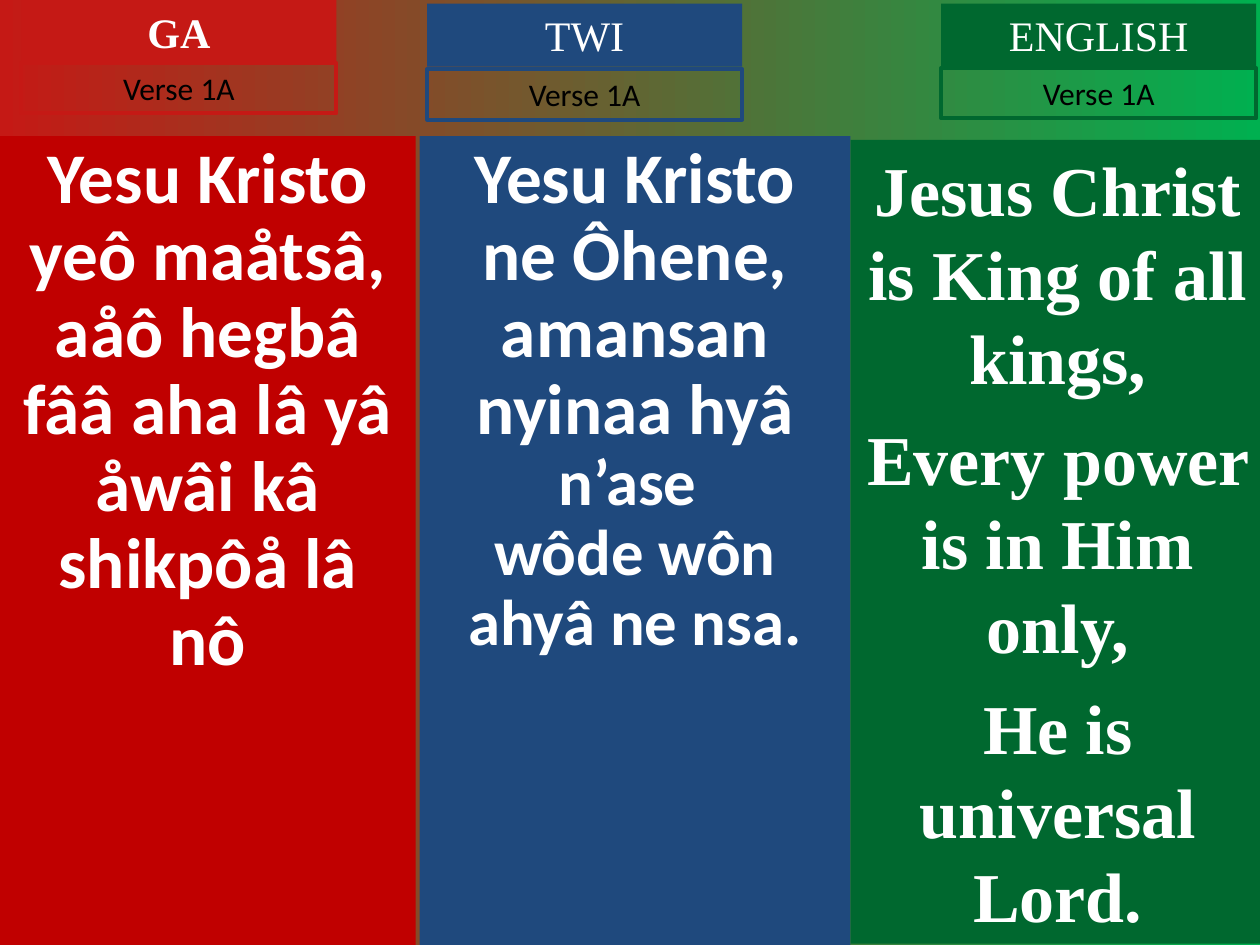
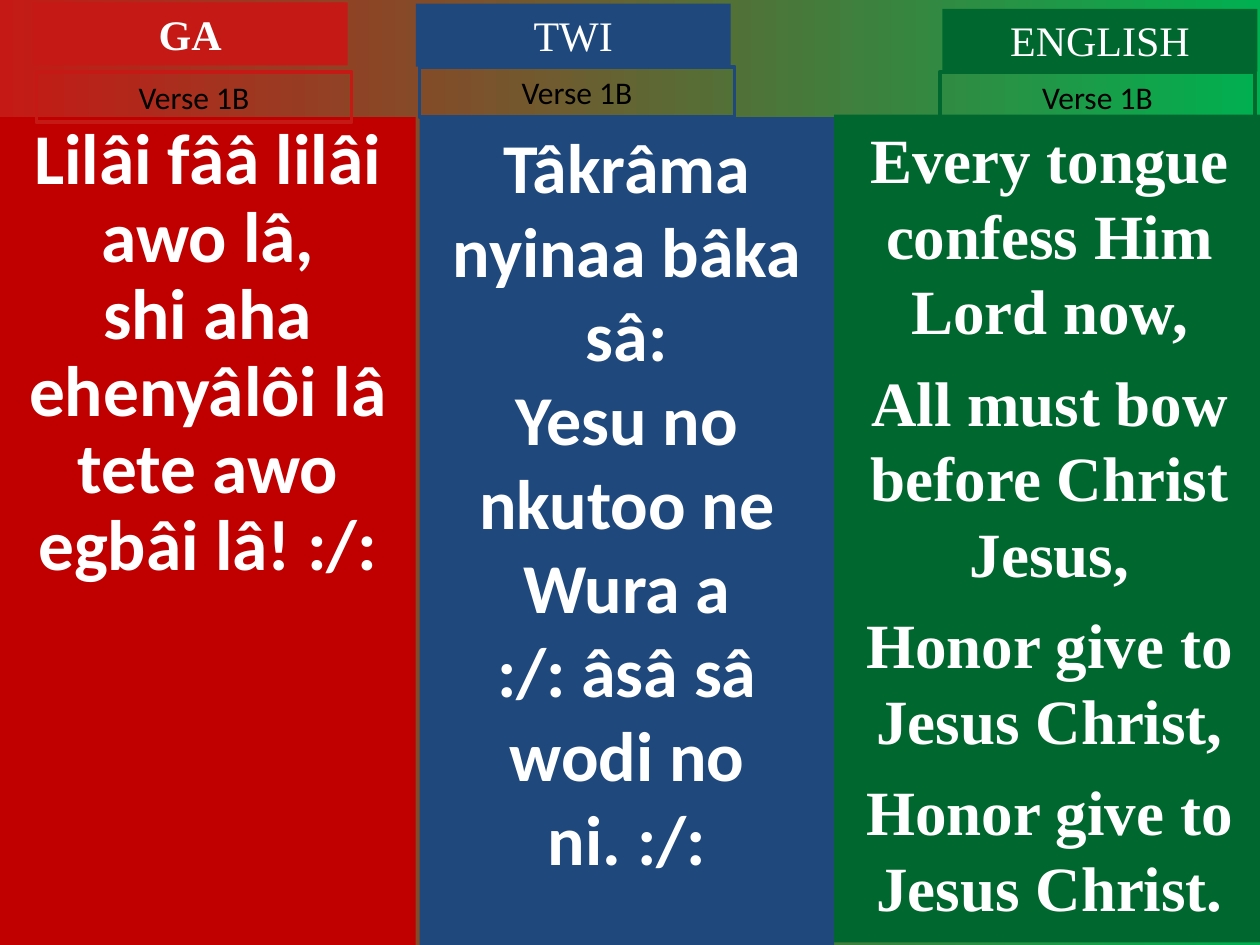
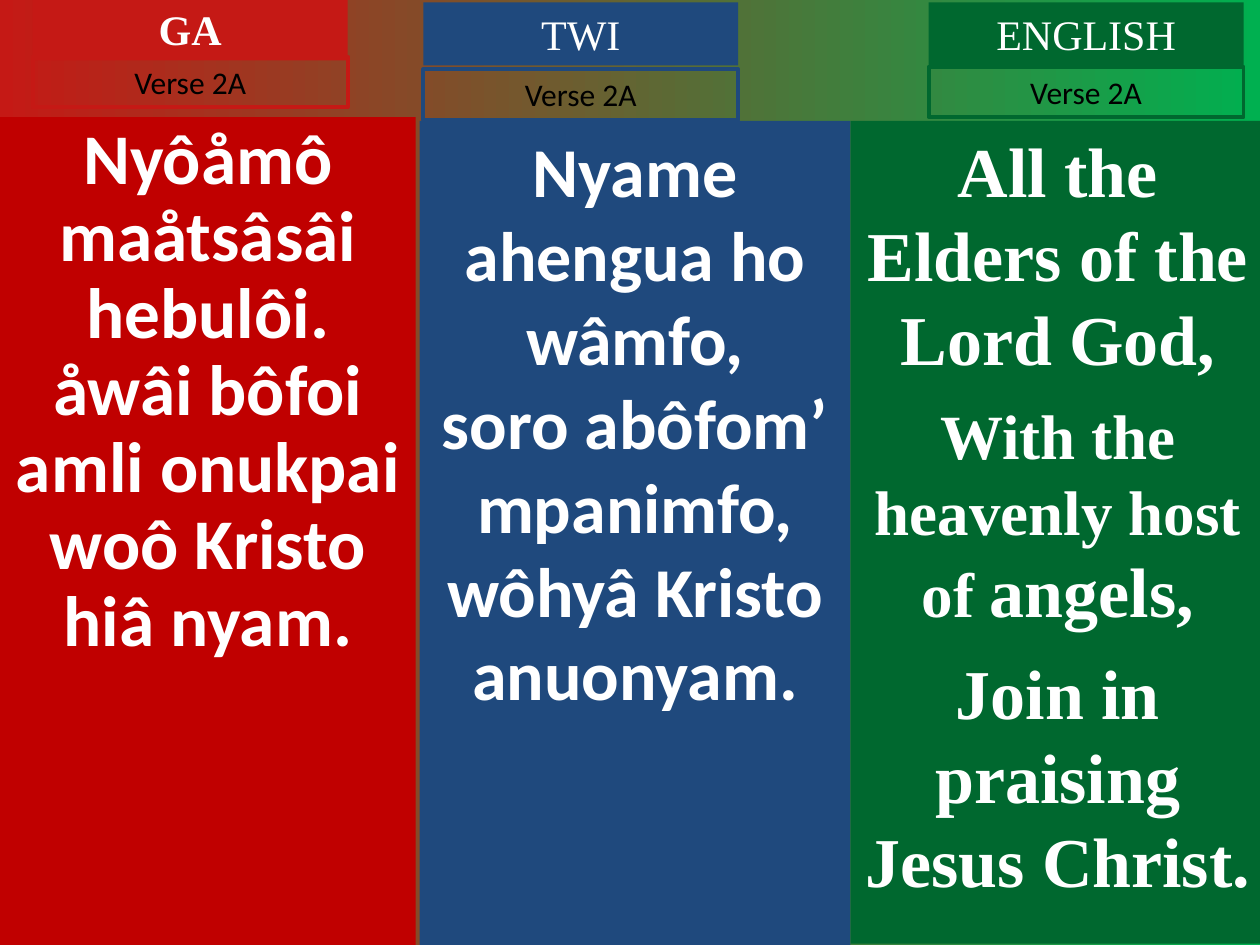
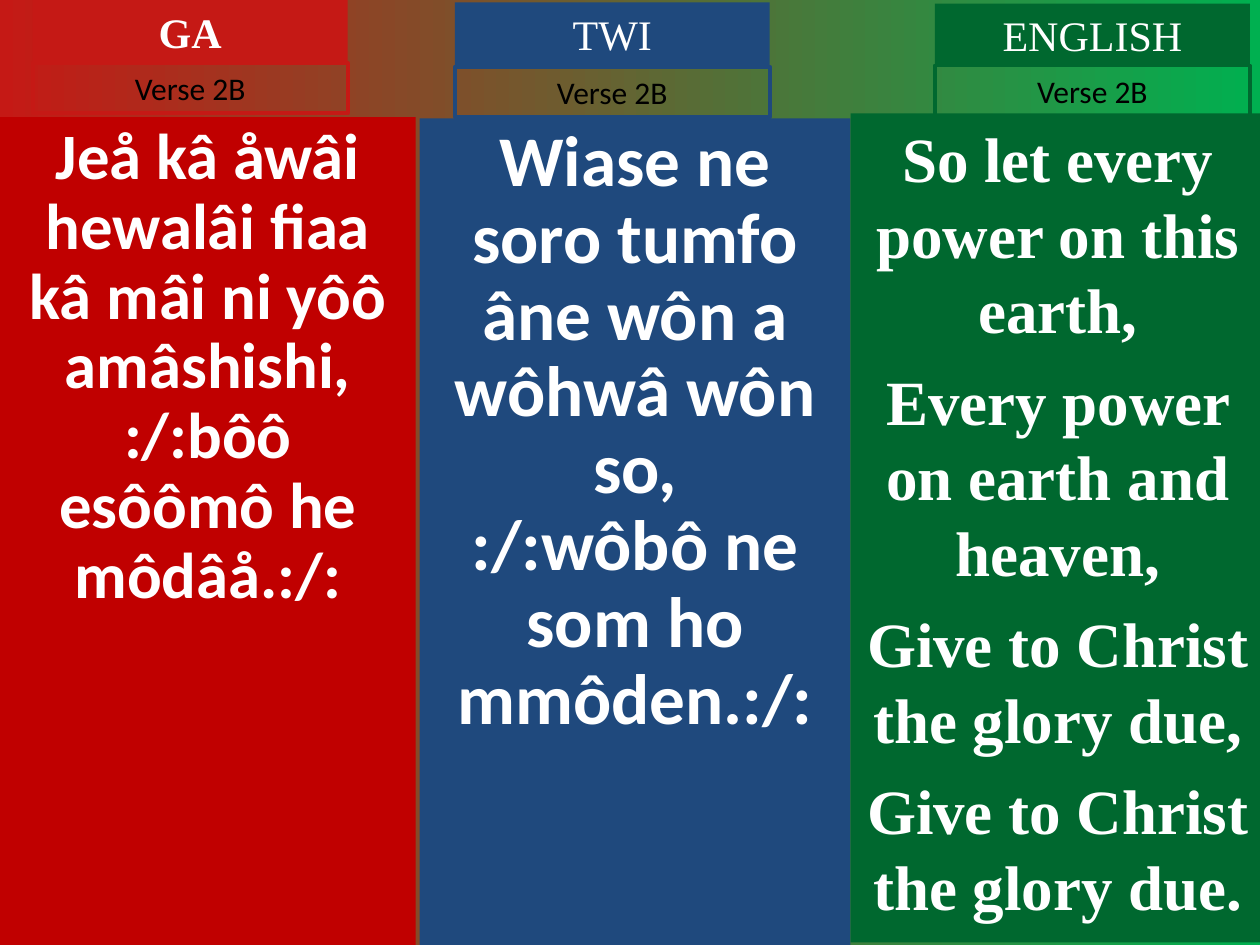
from pptx import Presentation
from pptx.dml.color import RGBColor
from pptx.enum.shapes import MSO_SHAPE
from pptx.enum.text import MSO_ANCHOR, MSO_AUTO_SIZE, PP_ALIGN
from pptx.util import Pt

PX = 9144  # 100 px to the inch
WIDTH, HEIGHT = 1000, 750
HEAD_W, HEAD_H, LABEL_H = 250, 50, 40

COLORS = {
    "red": "C51915", "dark red": "C00000", "blue": "1F497D",
    "green": "00682F", "bright green": "00B050",
    "white": "FFFFFF", "black": "000000",
}
SANS, SERIF = "Calibri", "Times New Roman"

# name, heading colour, panel colour, panel font, bold heading
TONGUES = [
    ("GA", "red", "dark red", SANS, True),
    ("TWI", "blue", "blue", SANS, False),
    ("ENGLISH", "green", "green", SERIF, False),
]

# Each column: panel box, heading corner, label corner,
# (size, line spacing, space before), lines.
# A line is a text, or a list of (text, size) parts.
VERSES = [
    ("Verse 1A", [
        ((0, 108, 330, 642), (17, 0), (17, 50), (40.7, 0.9, 0), [
            "Yesu Kristo yeô maåtsâ,",
            "aåô hegbâ fââ aha lâ yâ åwâi kâ shikpôå lâ nô"]),
        ((333, 108, 342, 642), (339, 3), (339, 55), (40.7, 0.9, 0), [
            "Yesu Kristo ne Ôhene,",
            [("amansan nyinaa hyâ ", 40.7), ("n’ase ", 37)],
            [("wôde wôn ahyâ ne nsa.", 37)]]),
        ((675, 111, 329, 638), (747, 3), (747, 54), (40, 1, 10), [
            "Jesus Christ is King of all kings,",
            "Every power is in Him only,",
            "He is universal Lord."]),
    ]),
    ("Verse 1B", [
        ((0, 93, 330, 657), (26, 2), (29, 57), (40.8, 0.9, 0), [
            "Lilâi fââ lilâi awo lâ,",
            "shi aha ehenyâlôi lâ tete awo egbâi lâ! :/:"]),
        ((333, 93, 329, 657), (330, 3), (333, 53), (40, 1, 0), [
            "Tâkrâma nyinaa bâka sâ:",
            "Yesu no nkutoo ne Wura a",
            ":/: âsâ sâ wodi no ni. :/:"]),
        ((662, 91, 342, 657), (748, 7), (746, 57), (36, 1, 9), [
            "Every tongue confess Him Lord now,",
            "All must bow before Christ Jesus,",
            "Honor give to Jesus Christ,",
            "Honor give to Jesus Christ."]),
    ]),
    ("Verse 2A", [
        ((0, 93, 330, 657), (26, -2), (26, 45), (40.7, 0.9, 0), [
            "Nyôåmô maåtsâsâi hebulôi.",
            "åwâi bôfoi amli onukpai",
            "woô Kristo hiâ nyam."]),
        ((333, 96, 342, 654), (336, 2), (336, 55), (40, 1, 0), [
            "Nyame ahengua ho wâmfo,",
            "soro abôfom’ mpanimfo,",
            "wôhyâ Kristo anuonyam."]),
        ((675, 96, 329, 653), (737, 2), (737, 53), (40, 1, 10), [
            "All the Elders of the Lord God,",
            [("With the heavenly host of ", 36), ("angels,", 40)],
            "Join in praising Jesus Christ."]),
    ]),
    ("Verse 2B", [
        ((0, 93, 330, 657), (26, 0), (26, 50), (37, 0.9, 0), [
            "Jeå kâ åwâi hewalâi fiaa",
            "kâ mâi ni yôô amâshishi,",
            ":/:bôô esôômô he môdâå.:/:"]),
        ((333, 94, 342, 656), (361, 2), (361, 53), (40.7, 0.9, 0), [
            "Wiase ne soro tumfo",
            "âne wôn a wôhwâ wôn so,",
            ":/:wôbô ne som ho mmôden.:/:"]),
        ((675, 90, 329, 658), (742, 3), (742, 52), (36, 1, 9), [
            "So let every power on this earth,",
            "Every power on earth and heaven,",
            "Give to Christ the glory due,",
            "Give to Christ the glory due."]),
    ]),
]


def color(name):
    return RGBColor.from_string(COLORS[name])


def add_box(slide, box, fill=None, line=None):
    """Add a rectangle and return its text frame."""
    shape = slide.shapes.add_shape(MSO_SHAPE.RECTANGLE, *(n * PX for n in box))
    shape.shadow.inherit = False
    if fill:
        shape.fill.solid()
        shape.fill.fore_color.rgb = color(fill)
    else:
        shape.fill.background()
    if line:
        shape.line.color.rgb = color(line)
        shape.line.width = Pt(2.25)
    else:
        shape.line.fill.background()
    frame = shape.text_frame
    frame.word_wrap = True
    frame.vertical_anchor = MSO_ANCHOR.TOP
    return frame


def style(run, size, face, ink, bold=False):
    font = run.font
    font.size, font.name, font.bold = Pt(size), face, bold
    font.color.rgb = color(ink)


def add_tag(slide, corner, height, text, size, face, ink, bold=False, **look):
    """Add a one-line box that grows with its text."""
    frame = add_box(slide, (*corner, HEAD_W, height), **look)
    frame.auto_size = MSO_AUTO_SIZE.SHAPE_TO_FIT_TEXT
    frame.text = text
    para = frame.paragraphs[0]
    para.alignment = PP_ALIGN.CENTER
    style(para.runs[0], size, face, ink, bold)


def add_panel(slide, box, fill, face, form, lines):
    size, pitch, gap = form
    frame = add_box(slide, box, fill=fill)
    for i, line in enumerate(lines):
        para = frame.add_paragraph() if i else frame.paragraphs[0]
        para.alignment = PP_ALIGN.CENTER
        if pitch != 1:
            para.line_spacing = pitch
        if i and gap:
            para.space_before = Pt(gap)
        parts = [(line, size)] if isinstance(line, str) else line
        for text, points in parts:
            run = para.add_run()
            run.text = text
            style(run, points, face, "white", True)


def paint_back(master):
    fill = master.background.fill
    fill.gradient()
    fill.gradient_angle = 0
    for stop, name in zip(fill.gradient_stops, ("red", "bright green")):
        stop.color.rgb = color(name)


def main():
    deck = Presentation()
    deck.slide_width, deck.slide_height = WIDTH * PX, HEIGHT * PX
    paint_back(deck.slide_master)
    blank = deck.slide_layouts[6]
    for verse, columns in VERSES:
        slide = deck.slides.add_slide(blank)
        for tongue, column in zip(TONGUES, columns):
            name, hue, back, face, bold = tongue
            box, head, label, form, lines = column
            add_panel(slide, box, back, face, form, lines)
            add_tag(slide, head, HEAD_H, name, 24, SERIF, "white", bold, fill=hue)
            add_tag(slide, label, LABEL_H, verse, 18, SANS, "black", line=hue)
    deck.save("out.pptx")


if __name__ == "__main__":
    main()
